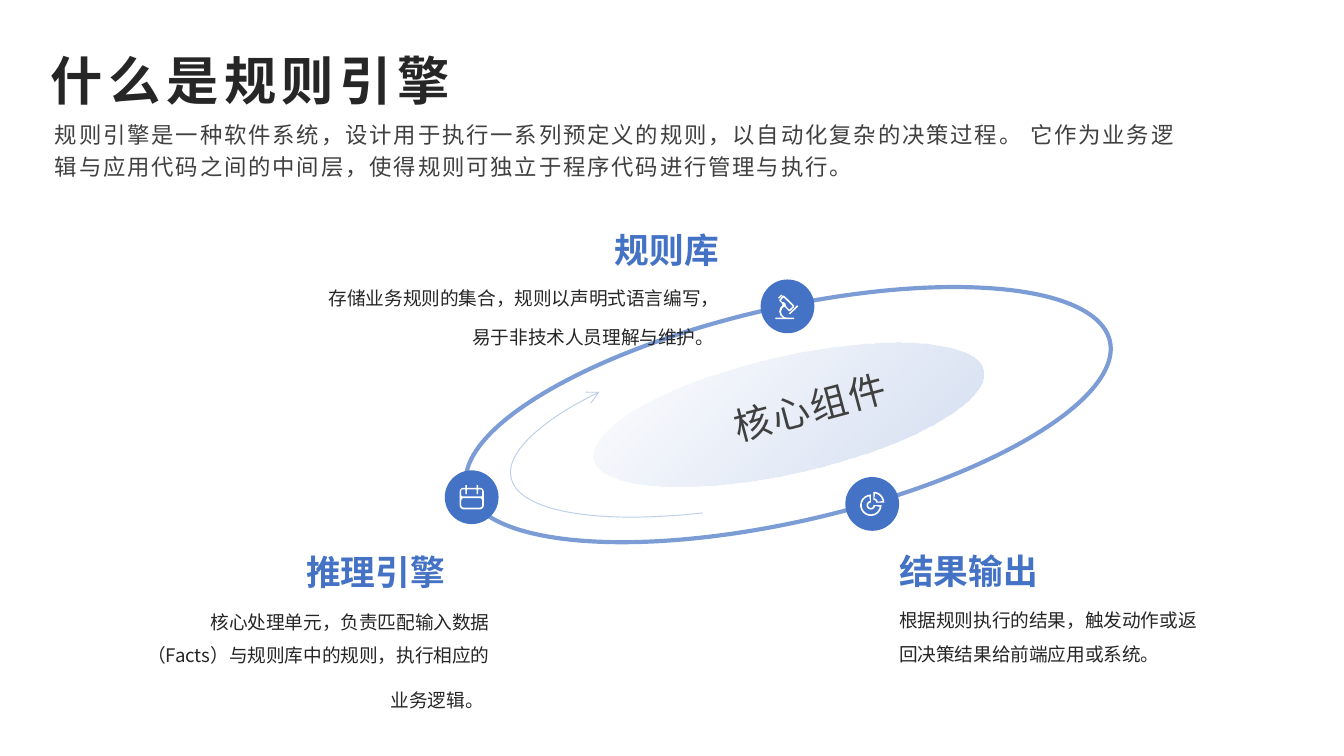
import math
from dataclasses import dataclass
from typing import Any

from pptx import Presentation
from pptx.dml.color import RGBColor
from pptx.enum import shapes, text
from pptx.oxml import parse_xml
from pptx.oxml.ns import nsdecls, qn
from pptx.util import Inches, Pt


@dataclass(frozen=True)
class Theme:
    blue: str = "4472C4"
    pale_blue: str = "8FAADC"
    white: str = "FFFFFF"
    ink: str = "262626"
    gray: str = "404040"
    cjk: str = "Noto Sans CJK SC"
    latin: str = "Arial"
    title: float = 28
    core: float = 20
    heading: float = 18.6
    lead: float = 12
    body: float = 10


THEME = Theme()
TILT = 347.1
BADGE = 0.4
ALIGN = text.PP_ALIGN
SHAPE = shapes.MSO_SHAPE


def set_alpha(container, percent):
    """Make the solid colour inside a fill or line element translucent."""
    color = container.find(".//" + qn("a:srgbClr"))
    color.append(parse_xml(f'<a:alpha {nsdecls("a")} val="{percent * 1000}"/>'))


def arc_points(x, y, radius, start, end, steps=16):
    angles = [math.radians(start + (end - start) * i / steps) for i in range(steps + 1)]
    return [(x + radius * math.cos(a), y + radius * math.sin(a)) for a in angles]


def ring_sector(x, y, outer, inner, start, end):
    return arc_points(x, y, outer, start, end) + arc_points(x, y, inner, end, start)


def box_points(left, top, right, bottom, radius=0):
    if not radius:
        return [(left, top), (right, top), (right, bottom), (left, bottom)]
    corners = [(right - radius, bottom - radius), (left + radius, bottom - radius),
               (left + radius, top + radius), (right - radius, top + radius)]
    return [point for i, (x, y) in enumerate(corners)
            for point in arc_points(x, y, radius, 90 * i, 90 * i + 90, 6)]


# Icon outlines in hundredths of an inch; inner outlines cut holes.
PIE_ICON = [
    ring_sector(8, 10, 8, 2, 0, 270),
    ring_sector(8, 10, 6.8, 3.2, 10, 260),
    ring_sector(10, 8, 8, 2, 270, 360),
    ring_sector(10, 8, 6.8, 3.2, 280, 350),
]
CALENDAR_ICON = [
    box_points(0, 2, 18, 18, 3),
    box_points(1.2, 3.2, 16.8, 8.4, 1),
    box_points(1.2, 9.6, 16.8, 16.8, 2),
] + [box_points(x, top, x + 1.2, bottom)
     for x in (4.2, 12.6) for top, bottom in ((0, 2), (3.2, 6.8))]
MICROSCOPE_ICON = [
    [(0, 17.4), (5.6, 17.4), (3.6, 15.5), (2.8, 13), (3.4, 10.3), (5.2, 8.2),
     (5, 7), (3, 5), (3, 4), (5.4, 1), (6.4, 1), (14, 8.4), (14, 9.4),
     (10.8, 12.6), (10, 12.6), (6.6, 9), (5, 10.6), (4.1, 13), (4.9, 15.4),
     (6.6, 17), (9, 17.4), (14, 17.4), (14, 18.4), (0, 18.4)],
    [(6, 2.3), (12.9, 9), (10.3, 11.5), (7.8, 8.8), (7.4, 6.8), (6, 5.8),
     (5, 6), (4.1, 4.7)],
    [(16.2, 8.2), (17, 9), (10.8, 15), (10, 14.2)],
    [(2, 2.6), (4.3, 0.3), (5, 1), (2.7, 3.3)],
]


@dataclass
class SlideBuilder:
    theme: Theme
    slide: Any

    def text(self, content, left, top, width, height, *, size, color, font=None,
             bold=False, align=None, line=None, after=None, spacing=None,
             inset=True, bottom=False, grow=False, rotation=0, end_space=None):
        """Add a text box; end_space is the size of a closing space."""
        shape = self.slide.shapes.add_textbox(*map(Inches, (left, top, width, height)))
        shape.rotation = rotation
        frame = shape.text_frame
        frame.word_wrap = True
        if grow:
            frame.auto_size = text.MSO_AUTO_SIZE.SHAPE_TO_FIT_TEXT
        if bottom:
            frame.vertical_anchor = text.MSO_ANCHOR.BOTTOM
        if not inset:
            frame.margin_left = frame.margin_right = 0
            frame.margin_top = frame.margin_bottom = 0
        paragraph = frame.paragraphs[0]
        paragraph.alignment = align
        paragraph.line_spacing = line
        if after:
            paragraph.space_after = Pt(after)
        parts = [(content, size)] + ([(" ", end_space)] if end_space else [])
        for words, points in parts:
            run = paragraph.add_run()
            run.text = words
            run.font.size = Pt(points)
            run.font.bold = bold
            run.font.name = font or self.theme.cjk
            run.font.color.rgb = RGBColor.from_string(color)
            properties = run.font._element
            if spacing:
                properties.set("spc", str(spacing * 100))
            properties.find(qn("a:latin")).addnext(parse_xml(
                f'<a:ea {nsdecls("a")} typeface="{self.theme.cjk}"/>'))

    def shape(self, kind, left, top, width, height, *, fill=None, line=None,
              weight=1, alpha=None, rotation=0):
        shape = self.slide.shapes.add_shape(kind, *map(Inches, (left, top, width, height)))
        shape.shadow.inherit = False
        shape.rotation = rotation
        if fill:
            shape.fill.solid()
            shape.fill.fore_color.rgb = RGBColor.from_string(fill)
        else:
            shape.fill.background()
        if line:
            shape.line.color.rgb = RGBColor.from_string(line)
            shape.line.width = Pt(weight)
            if alpha:
                set_alpha(shape.line._ln, alpha)
        else:
            shape.line.fill.background()
        return shape

    def glow_ellipse(self, *box):
        """Add a tilted ellipse that fades out from its lower right."""
        properties = self.shape(SHAPE.OVAL, *box, rotation=TILT)._element.spPr
        stops = "".join(
            f'<a:gs pos="{position}"><a:srgbClr val="{self.theme.pale_blue}">'
            f'<a:alpha val="{alpha}"/></a:srgbClr></a:gs>'
            for position, alpha in ((0, 40000), (100000, 0)))
        gradient = parse_xml(
            f'<a:gradFill {nsdecls("a")} rotWithShape="1"><a:gsLst>{stops}</a:gsLst>'
            '<a:path path="circle"><a:fillToRect l="100000" t="100000"/></a:path>'
            '</a:gradFill>')
        properties.replace(properties.find(qn("a:noFill")), gradient)

    def arc_arrow(self, *box, start, end):
        """Add a tilted arc between two angles in degrees, with an arrowhead."""
        arc = self.shape(SHAPE.ARC, *box, line=self.theme.blue, weight=0.5,
                         alpha=35, rotation=TILT)
        for index, angle in enumerate((start, end)):
            arc.adjustments[index] = angle * 0.6  # 60000ths of a degree over 100000
        arc.line._ln.append(parse_xml(f'<a:tailEnd {nsdecls("a")} type="arrow"/>'))

    def badge(self, left, top, icon):
        self.shape(SHAPE.OVAL, left, top, BADGE, BADGE, fill=self.theme.blue)
        outlines = [[(Inches(left + 0.11 + x / 100), Inches(top + 0.11 + y / 100))
                     for x, y in outline] for outline in icon]
        builder = self.slide.shapes.build_freeform(*outlines[0][0])
        for index, outline in enumerate(outlines):
            if index:
                builder.move_to(*outline[0])
            builder.add_line_segments(outline[1:], close=True)
        shape = builder.convert_to_shape()
        shape.shadow.inherit = False
        shape.fill.solid()
        shape.fill.fore_color.rgb = RGBColor.from_string(self.theme.white)
        shape.line.fill.background()

    def component(self, heading, body, heading_box, body_box, **body_format):
        align = body_format.pop("align", None)
        self.text(body, *body_box, size=self.theme.body, color=self.theme.ink,
                  align=align, line=1.5, inset=False, **body_format)
        self.text(heading, *heading_box, size=self.theme.heading, color=self.theme.blue,
                  font=self.theme.latin, bold=True, align=align, inset=False, bottom=True)


def main():
    presentation = Presentation()
    presentation.slide_width = Inches(10)
    presentation.slide_height = Inches(10) * 9 // 16
    slide = presentation.slides.add_slide(presentation.slide_layouts[6])
    page = SlideBuilder(THEME, slide)

    page.text("什么是规则引擎", 0.28, 0.17, 6.44, 0.85, size=THEME.title,
              color=THEME.ink, bold=True, line=1.3, spacing=3)
    page.text("规则引擎是一种软件系统，设计用于执行一系列预定义的规则，以自动化复杂的决策过程。 "
              "它作为业务逻辑与应用代码之间的中间层，使得规则可独立于程序代码进行管理与执行。",
              0.31, 0.81, 8.62, 0.58, size=THEME.lead, color=THEME.gray,
              line=1.2, after=8, spacing=1, grow=True)

    page.glow_ellipse(4.38, 2.65, 2.97, 0.87)
    page.shape(SHAPE.OVAL, 3.41, 2.29, 4.91, 1.59, line=THEME.blue, weight=2.25,
               alpha=70, rotation=TILT)
    page.arc_arrow(3.75, 2.47, 4.23, 1.23, start=143.9, end=199.73)

    page.badge(6.29, 3.55, PIE_ICON)
    page.badge(3.31, 3.5, CALENDAR_ICON)
    page.component("结果输出", "根据规则执行的结果，触发动作或返回决策结果给前端应用或系统。",
                   (6.69, 3.98, 2.29, 0.42), (6.69, 4.45, 2.29, 0.61), font=THEME.latin)
    page.component("推理引擎", "核心处理单元，负责匹配输入数据（Facts）与规则库中的规则，执行相应的业务逻辑。",
                   (1.02, 3.99, 2.29, 0.42), (1.02, 4.46, 2.62, 0.61),
                   align=ALIGN.RIGHT, end_space=13.6)
    page.badge(5.66, 2.08, MICROSCOPE_ICON)
    page.component("规则库", "存储业务规则的集合，规则以声明式语言编写，易于非技术人员理解与维护。",
                   (3.06, 1.65, 2.29, 0.36), (2.41, 2.05, 2.94, 0.68),
                   align=ALIGN.RIGHT, end_space=12)
    page.text("核心组件", 5.35, 2.8, 1.43, 0.44, size=THEME.core, color=THEME.gray,
              spacing=1, grow=True, rotation=345)

    presentation.save("out.pptx")


if __name__ == "__main__":
    main()
